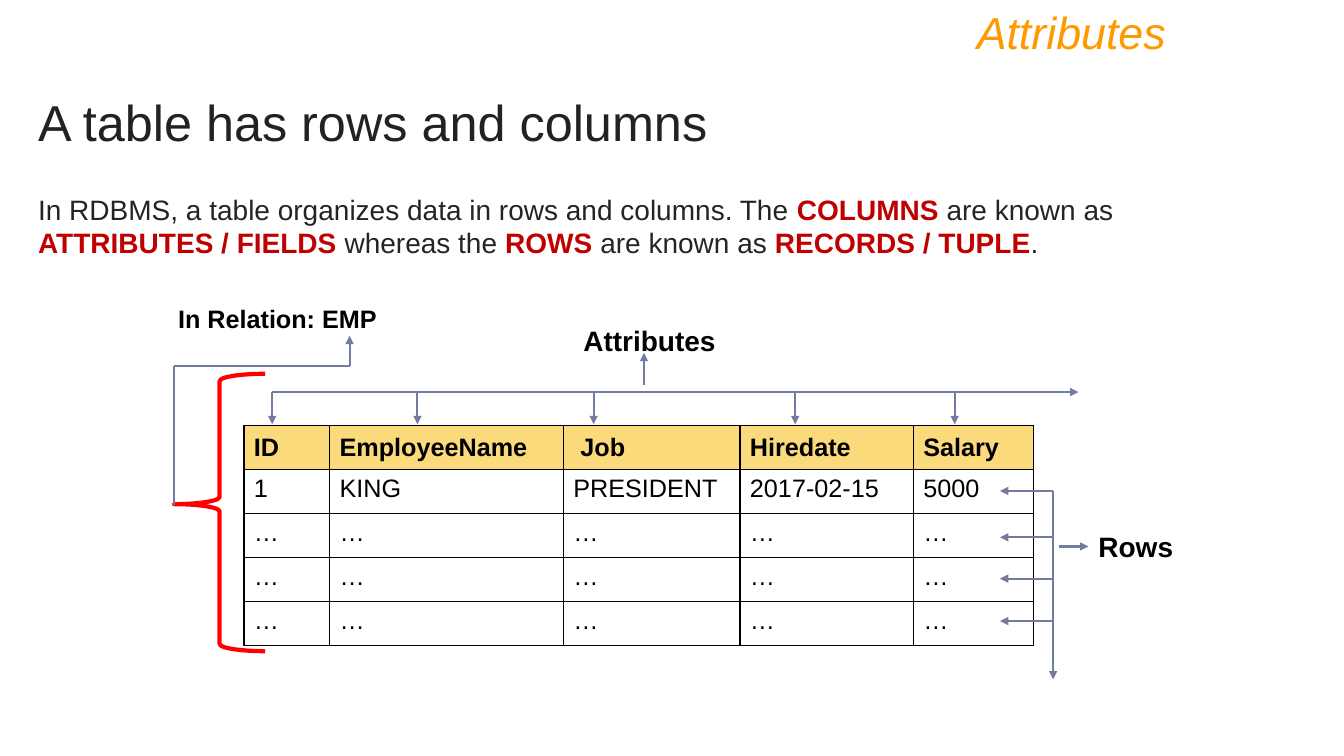
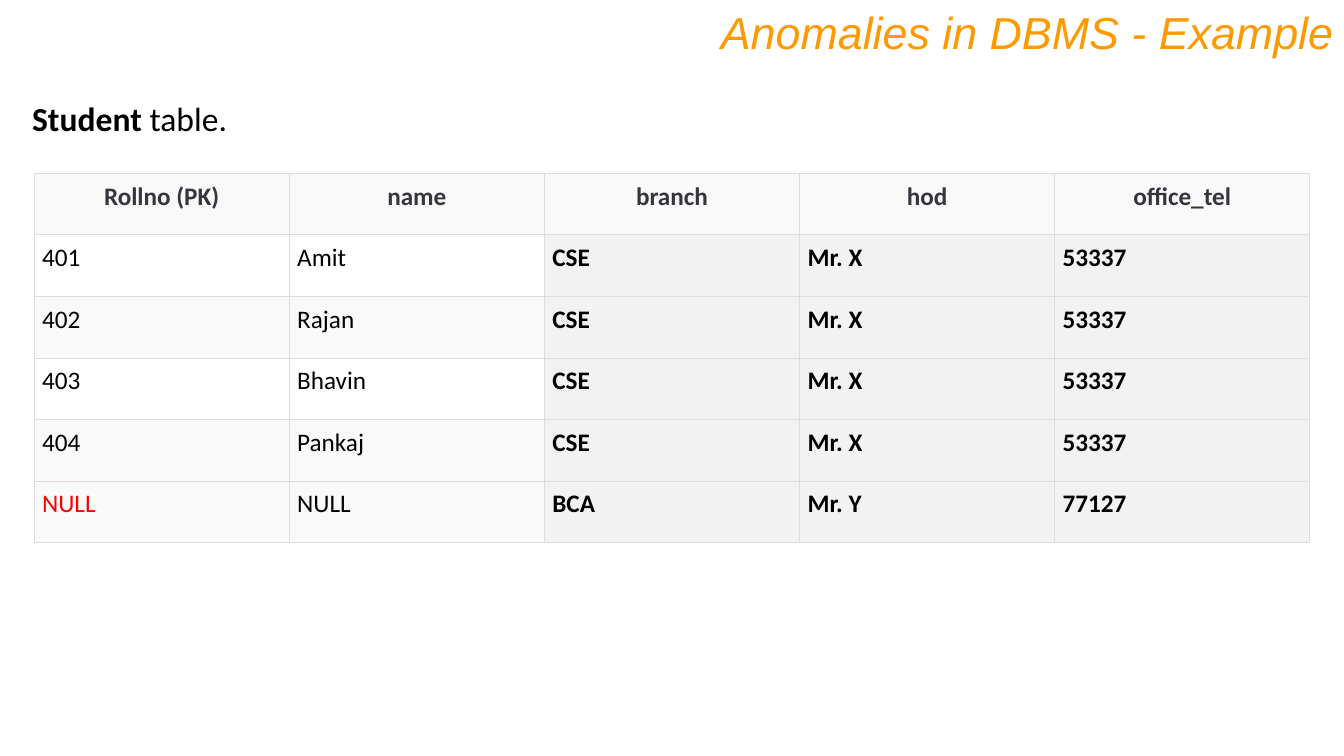
from dataclasses import dataclass

from lxml import etree
from pptx import Presentation
from pptx.dml.color import RGBColor
from pptx.enum import shapes, text
from pptx.oxml.ns import qn
from pptx.util import Cm, Pt

ORANGE = "FF9900"
INK = "222222"
BODY = "222426"
CRIMSON = "C00000"
RED = "FF0000"
BLACK = "000000"
SLATE = "727CA3"
HEADER_INK = "35353E"
AMBER = "FADA7A"
PALE = "F9F9F9"
GREY = "F2F2F2"
BORDER_GREY = "DDDDDD"
SLIDE_WIDTH, SLIDE_HEIGHT = 33.87, 19.05


@dataclass(frozen=True)
class Box:
    """A rectangle in centimetres."""
    left: float
    top: float
    width: float
    height: float

    def lengths(self):
        return Cm(self.left), Cm(self.top), Cm(self.width), Cm(self.height)


@dataclass(frozen=True)
class Style:
    size: float
    color: str = BLACK
    bold: bool = False
    italic: bool = False
    name: str = "Arial"


@dataclass(frozen=True)
class Arrow:
    """A straight line in centimetres, with a head at its end if wanted."""
    x1: float
    y1: float
    x2: float
    y2: float
    head: bool = True


@dataclass(frozen=True)
class CellStyle:
    style: Style
    fill: str | None = None
    alignment: text.PP_ALIGN = text.PP_ALIGN.LEFT
    anchor: text.MSO_ANCHOR = text.MSO_ANCHOR.TOP


@dataclass(frozen=True)
class Grid:
    """Look of a table; lengths in centimetres, border in points."""
    left: float
    top: float
    column_widths: tuple[float, ...]
    row_height: float
    border_color: str
    border_width: float
    margin_x: float
    margin_y: float


TITLE = Style(32, ORANGE, italic=True)
LABEL = Style(20, bold=True)


def rgb(color: str) -> RGBColor:
    return RGBColor.from_string(color)


def format_run(run, style: Style) -> None:
    font = run.font
    font.name, font.size = style.name, Pt(style.size)
    font.bold, font.italic = style.bold, style.italic
    font.color.rgb = rgb(style.color)


def add_text(slide, box: Box, parts: list[tuple[str, Style]], wrap: bool = True,
             alignment=text.PP_ALIGN.LEFT):
    shape = slide.shapes.add_textbox(*box.lengths())
    shape.text_frame.word_wrap = wrap
    paragraph = shape.text_frame.paragraphs[0]
    paragraph.alignment = alignment
    for words, style in parts:
        run = paragraph.add_run()
        run.text = words
        format_run(run, style)
    return shape


def add_title(slide, words: str, left: float, width: float) -> None:
    add_text(slide, Box(left, 0, width, 1.63), [(words, TITLE)],
             alignment=text.PP_ALIGN.RIGHT)


def add_arrow(slide, arrow: Arrow):
    connector = slide.shapes.add_connector(
        shapes.MSO_CONNECTOR.STRAIGHT,
        Cm(arrow.x1), Cm(arrow.y1), Cm(arrow.x2), Cm(arrow.y2))
    connector.line.color.rgb = rgb(SLATE)
    connector.line.width = Pt(1.5)
    if arrow.head:
        line = connector.line._get_or_add_ln()
        etree.SubElement(line, qn("a:tailEnd"), type="triangle")
    etree.SubElement(connector._element.spPr, qn("a:effectLst"))
    return connector


def set_borders(cell, color: str, width: float) -> None:
    properties = cell._tc.get_or_add_tcPr()
    for side in ("a:lnL", "a:lnR", "a:lnT", "a:lnB"):
        line = etree.SubElement(properties, qn(side), w=str(Pt(width)))
        fill = etree.SubElement(line, qn("a:solidFill"))
        etree.SubElement(fill, qn("a:srgbClr"), val=color)


def add_grid(slide, grid: Grid, rows: list[list[str]], cell_style) -> None:
    """Draw a table; cell_style(row, column) gives the CellStyle of a cell."""
    box = Box(grid.left, grid.top, sum(grid.column_widths), grid.row_height * len(rows))
    table = slide.shapes.add_table(len(rows), len(rows[0]), *box.lengths()).table
    table.first_row = table.horz_banding = False
    for column, width in zip(table.columns, grid.column_widths):
        column.width = Cm(width)
    for i, values in enumerate(rows):
        table.rows[i].height = Cm(grid.row_height)
        for j, value in enumerate(values):
            cell, look = table.cell(i, j), cell_style(i, j)
            set_borders(cell, grid.border_color, grid.border_width)
            cell.margin_left = cell.margin_right = Cm(grid.margin_x)
            cell.margin_top = cell.margin_bottom = Cm(grid.margin_y)
            cell.vertical_anchor = look.anchor
            if look.fill:
                cell.fill.solid()
                cell.fill.fore_color.rgb = rgb(look.fill)
            else:
                cell.fill.background()
            paragraph = cell.text_frame.paragraphs[0]
            paragraph.text = value
            paragraph.alignment = look.alignment
            format_run(paragraph.runs[0], look.style)


def employee_cell(row: int, column: int) -> CellStyle:
    if row == 0:
        return CellStyle(Style(18, bold=True), AMBER, anchor=text.MSO_ANCHOR.MIDDLE)
    return CellStyle(Style(18))


def student_cell(row: int, column: int) -> CellStyle:
    if row == 0:
        return CellStyle(Style(18, HEADER_INK, True, name="Calibri"), PALE,
                         text.PP_ALIGN.CENTER)
    if column >= 2:
        return CellStyle(Style(18, bold=True, name="Calibri"), GREY)
    color = RED if (row, column) == (5, 0) else BLACK
    return CellStyle(Style(18, color, name="Calibri"), None if row in (1, 3) else PALE)


def add_relation_marks(slide) -> None:
    """Brace round the table, with a line up to the name of the relation."""
    add_text(slide, Box(4.24, 7.52, 5.56, 1.02),
             [("In Relation: EMP", Style(18, bold=True))], wrap=False)
    brace = slide.shapes.add_shape(shapes.MSO_SHAPE.LEFT_BRACE,
                                   *Box(4.39, 9.42, 2.29, 6.99).lengths())
    brace.shadow.inherit = False
    brace.fill.background()
    brace.line.color.rgb = rgb(RED)
    brace.line.width = Pt(3)
    brace.adjustments[0], brace.adjustments[1] = 0.08, 0.47
    corners = [(4.39, 12.73), (4.39, 9.22), (8.81, 9.22), (8.81, 8.46)]
    for start, end in zip(corners, corners[1:]):
        add_arrow(slide, Arrow(*start, *end, head=end == corners[-1]))


def add_attribute_marks(slide) -> None:
    add_text(slide, Box(14.45, 8.03, 3.89, 1.12), [("Attributes", LABEL)], wrap=False)
    add_arrow(slide, Arrow(16.23, 9.7, 16.23, 8.89))
    add_arrow(slide, Arrow(6.86, 9.88, 27.18, 9.88))
    for x in (6.86, 10.52, 14.96, 20.04, 24.06):
        add_arrow(slide, Arrow(x, 9.88, x, 10.69))


def add_row_marks(slide) -> None:
    label = add_text(slide, Box(27.43, 13.21, 2.41, 1.12), [("Rows", LABEL)], wrap=False)
    add_arrow(slide, Arrow(26.7, 13.77, 27.43, 13.77)).end_connect(label, 1)
    add_arrow(slide, Arrow(26.54, 12.37, 26.54, 17.12))
    for y in (12.37, 13.54, 14.58, 15.65):
        add_arrow(slide, Arrow(26.54, y, 25.2, y))


def build_attributes_slide(slide) -> None:
    plain, strong = Style(20, BODY), Style(20, CRIMSON, bold=True)
    add_text(slide, Box(0.71, 2.16, 24.56, 1.8),
             [("A table has rows and columns", Style(36, INK))])
    add_title(slide, "Attributes", 4.24, 25.4)
    add_text(slide, Box(0.71, 4.72, 32, 1.96), [
        ("In RDBMS, a table organizes data in rows and columns. The ", plain),
        ("COLUMNS ", strong), ("are known as ", plain),
        ("ATTRIBUTES / FIELDS ", strong), ("whereas the ", plain),
        ("ROWS ", strong), ("are known as ", plain),
        ("RECORDS / TUPLE", strong), (".", plain)])
    grid = Grid(6.15, 10.72, (2.16, 5.89, 4.45, 4.37, 3.02), 1.11, BLACK, 1, 0.25, 0.13)
    rows = [["ID", "EmployeeName", " Job", "Hiredate", "Salary"],
            ["1", "KING", "PRESIDENT", "2017-02-15", "5000"],
            *[["…"] * 5 for _ in range(3)]]
    add_grid(slide, grid, rows, employee_cell)
    add_relation_marks(slide)
    add_attribute_marks(slide)
    add_row_marks(slide)


def build_anomalies_slide(slide) -> None:
    add_title(slide, "Anomalies in DBMS - Example", 0, SLIDE_WIDTH)
    add_text(slide, Box(0.56, 2.34, 32.74, 1.27), [
        ("Student", Style(24, bold=True, name="Calibri")),
        (" table.", Style(24, name="Calibri"))])
    grid = Grid(0.86, 4.37, (6.43,) * 5, 1.55, BORDER_GREY, 0.75, 0.2, 0.2)
    students = [("401", "Amit"), ("402", "Rajan"), ("403", "Bhavin"), ("404", "Pankaj")]
    rows = [["Rollno (PK)", "name", "branch", "hod", "office_tel"],
            *[[*student, "CSE", "Mr. X", "53337"] for student in students],
            ["NULL", "NULL", "BCA", "Mr. Y", "77127"]]
    add_grid(slide, grid, rows, student_cell)


def main() -> None:
    presentation = Presentation()
    presentation.slide_width = Cm(SLIDE_WIDTH)
    presentation.slide_height = Cm(SLIDE_HEIGHT)
    blank = presentation.slide_layouts[6]
    for build in (build_attributes_slide, build_anomalies_slide):
        build(presentation.slides.add_slide(blank))
    presentation.save("out.pptx")


if __name__ == "__main__":
    main()
